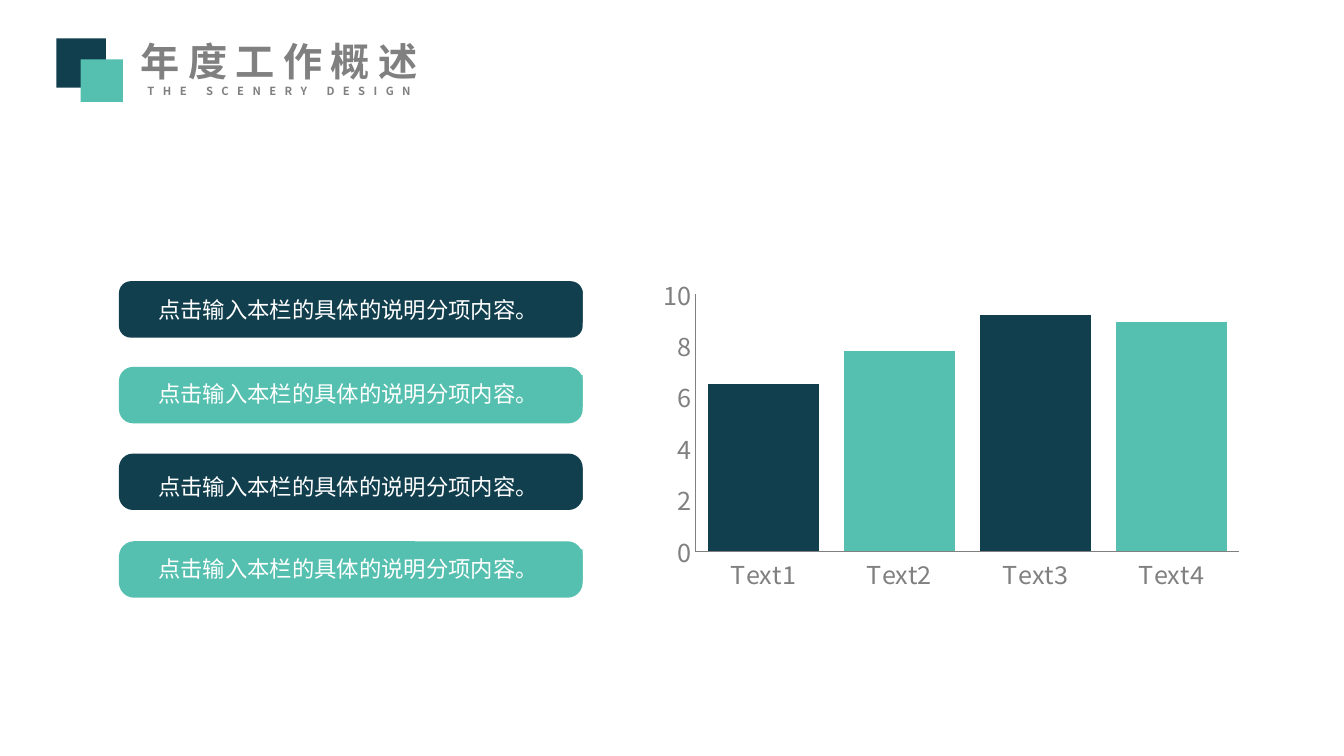
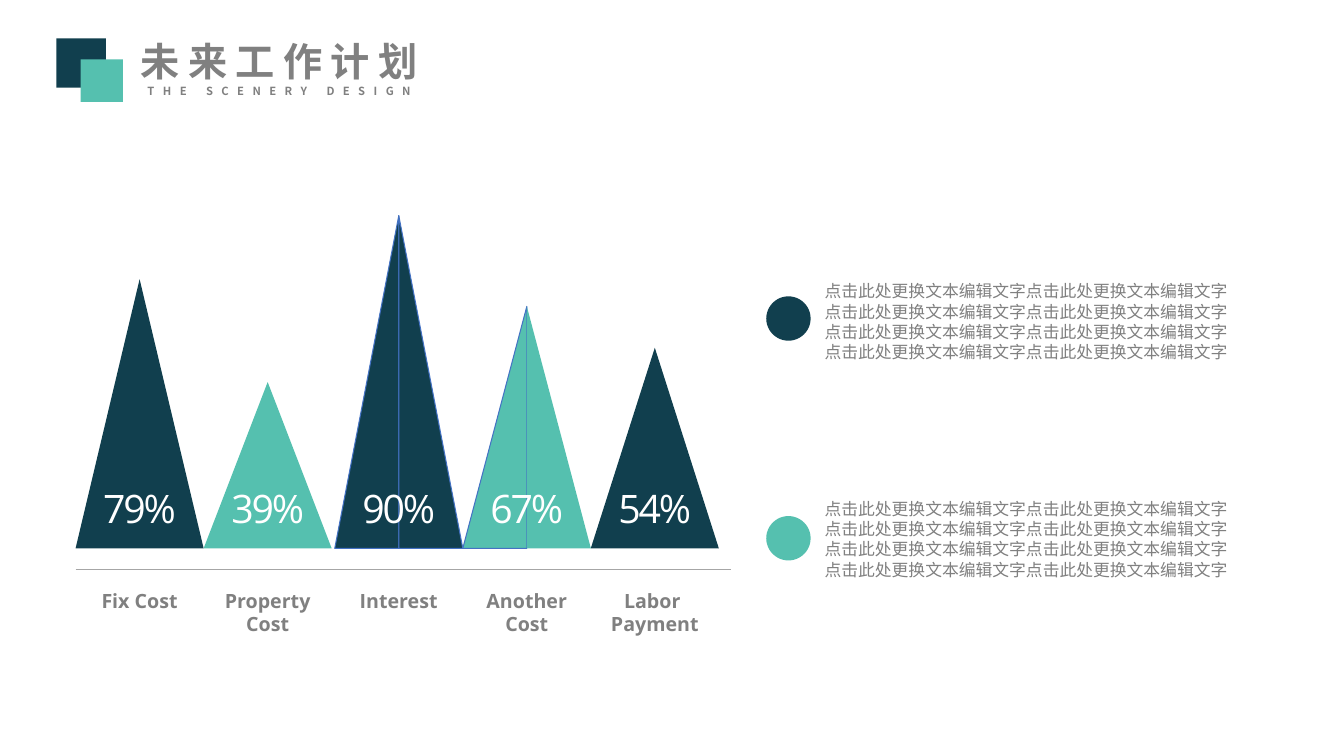
from dataclasses import dataclass

from lxml.etree import SubElement
from pptx import Presentation
from pptx.chart.data import CategoryChartData
from pptx.dml.color import RGBColor
from pptx.enum.chart import XL_CHART_TYPE, XL_TICK_MARK
from pptx.enum.shapes import MSO_CONNECTOR, MSO_SHAPE
from pptx.enum.text import MSO_AUTO_SIZE, MSO_ANCHOR, PP_ALIGN
from pptx.oxml import parse_xml
from pptx.oxml.ns import nsdecls, qn
from pptx.util import Inches, Pt

NAVY, TEAL, GRAY, WHITE = "113F4E", "55C0AF", "808080", "FFFFFF"
RULE, OUTLINE = "A6A6A6", "4472C4"
CJK, LATIN = "Noto Sans CJK SC", "Open Sans"


@dataclass(frozen=True)
class Style:
    size: float
    font: str = CJK
    color: str = GRAY
    bold: bool = False
    spacing: float = 0


@dataclass(frozen=True)
class Bar:
    top: float
    text_top: float
    corner: float
    color: str


@dataclass(frozen=True)
class Peak:
    left: float
    top: float
    value: str
    label: str
    color: str
    outlined: tuple[bool, bool] = (False, False)


@dataclass(frozen=True)
class Note:
    text_top: float
    dot_top: float
    color: str


TITLE = Style(28, bold=True, spacing=6)
SUBTITLE = Style(8, bold=True, spacing=6)
BAR_TEXT = Style(16, color=WHITE)
NOTE_TEXT = Style(12)
PEAK_LABEL = Style(14, LATIN, bold=True)
PEAK_VALUE = Style(28, LATIN, WHITE, spacing=-1.5)

BARS = [
    Bar(2.79, 2.88, 0.21, NAVY),
    Bar(3.64, 3.72, 0.25, TEAL),
    Bar(4.5, 4.64, 0.25, NAVY),
    Bar(5.37, 5.45, 0.27, TEAL),
]
PEAKS = [
    Peak(0.75, 2.77, "79%", "Fix Cost", NAVY),
    Peak(2.02, 3.79, "39%", "Property\nCost", TEAL),
    Peak(3.32, 2.14, "90%", "Interest", NAVY, (True, True)),
    Peak(4.59, 3.04, "67%", "Another\nCost", TEAL, (True, False)),
    Peak(5.86, 3.45, "54%", "Labor \nPayment", NAVY),
]
PEAK_WIDTH, PEAK_BASE = 1.27, 5.44
NOTES = [Note(2.74, 2.94, NAVY), Note(4.9, 5.12, TEAL)]


def rgb(color: str) -> RGBColor:
    return RGBColor.from_string(color)


def paint(sp, color: str, line: str | None = None) -> None:
    sp.shadow.inherit = False
    sp.fill.solid()
    sp.fill.fore_color.rgb = rgb(color)
    if line:
        sp.line.color.rgb = rgb(line)
        sp.line.width = Pt(0.75)
    else:
        sp.line.fill.background()


def add_box(s, kind, left: float, top: float, width: float, height: float, color: str):
    sp = s.shapes.add_shape(kind, Inches(left), Inches(top), Inches(width), Inches(height))
    paint(sp, color)
    return sp


def write(tf, lines: list[tuple[str, Style]], align=PP_ALIGN.LEFT, margins=(0.1, 0.05),
          wrap: bool = True, line_spacing: float | None = None) -> None:
    """Fill a frame with one styled paragraph per line."""
    tf.word_wrap = wrap
    tf.auto_size = MSO_AUTO_SIZE.SHAPE_TO_FIT_TEXT
    tf.vertical_anchor = MSO_ANCHOR.TOP
    tf.margin_left = tf.margin_right = Inches(margins[0])
    tf.margin_top = tf.margin_bottom = Inches(margins[1])
    for i, (text, style) in enumerate(lines):
        p = tf.paragraphs[0] if i == 0 else tf.add_paragraph()
        p.alignment = align
        if line_spacing:
            p.line_spacing = line_spacing
        r = p.add_run()
        r.text = text
        r.font.size = Pt(style.size)
        r.font.bold = style.bold
        r.font.color.rgb = rgb(style.color)
        r.font.name = style.font
        rPr = r._r.get_or_add_rPr()
        SubElement(rPr, qn("a:ea")).set("typeface", style.font)
        if style.spacing:
            rPr.set("spc", str(int(style.spacing * 100)))


def add_text(s, left: float, top: float, width: float, height: float,
             lines: list[tuple[str, Style]], **options) -> None:
    sp = s.shapes.add_textbox(Inches(left), Inches(top), Inches(width), Inches(height))
    write(sp.text_frame, lines, **options)


def add_titled_slide(prs, title: str):
    s = prs.slides.add_slide(prs.slide_layouts[6])
    add_text(s, 1.24, 0.32, 3.06, 0.71, [(title, TITLE), ("THE SCENERY DESIGN", SUBTITLE)],
             align=PP_ALIGN.CENTER, wrap=False)
    add_box(s, MSO_SHAPE.RECTANGLE, 0.56, 0.38, 0.49, 0.49, NAVY)
    add_box(s, MSO_SHAPE.RECTANGLE, 0.8, 0.59, 0.42, 0.42, TEAL)
    return s


def set_plot_area(chart, x: float, y: float, w: float, h: float) -> None:
    """Place the inner plot area, in fractions of the chart."""
    plot_area = chart._chartSpace.chart.plotArea
    for old in plot_area.findall(qn("c:layout")):
        plot_area.remove(old)
    places = "".join(f'<c:{tag} val="{val}"/>' for tag, val in
                     (("xMode", "edge"), ("yMode", "edge"), ("x", x), ("y", y), ("w", w), ("h", h)))
    plot_area.insert(0, parse_xml(
        f'<c:layout {nsdecls("c")}><c:manualLayout><c:layoutTarget val="inner"/>'
        f'{places}</c:manualLayout></c:layout>'))


def add_column_chart(s) -> None:
    data = CategoryChartData()
    data.categories = [f"Text{i}" for i in range(1, 5)]
    data.add_series("Series 1", (6.5, 7.8, 9.2, 8.9))
    chart = s.shapes.add_chart(XL_CHART_TYPE.COLUMN_CLUSTERED, Inches(6.51), Inches(2.74),
                               Inches(5.79), Inches(3.44), data).chart
    chart.has_legend = chart.has_title = False
    chart.font.name = CJK
    chart.font.size = Pt(18)
    chart.font.color.rgb = rgb(GRAY)
    set_plot_area(chart, 0.067, 0.033, 0.932, 0.757)
    for axis in (chart.category_axis, chart.value_axis):
        axis.has_major_gridlines = False
        axis.major_tick_mark = axis.minor_tick_mark = XL_TICK_MARK.NONE
        axis.format.line.color.rgb = rgb(GRAY)
    chart.value_axis.minimum_scale = 0
    chart.value_axis.maximum_scale = 10
    chart.value_axis.major_unit = 2
    plot = chart.plots[0]
    plot.gap_width, plot.overlap, plot.vary_by_categories = 22, -3, False
    series = plot.series[0]
    series.format.fill.solid()
    series.format.fill.fore_color.rgb = rgb(TEAL)
    for i in (0, 2):
        fill = series.points[i].format.fill
        fill.solid()
        fill.fore_color.rgb = rgb(NAVY)


def add_bar(s, bar: Bar) -> None:
    sp = add_box(s, MSO_SHAPE.ROUNDED_RECTANGLE, 1.18, bar.top, 4.6, 0.56, bar.color)
    sp.adjustments[0] = bar.corner
    sp = add_box(s, MSO_SHAPE.RECTANGLE, 1.57, bar.text_top, 4.21, 0.32, bar.color)
    write(sp.text_frame, [("点击输入本栏的具体的说明分项内容。", BAR_TEXT)],
          align=PP_ALIGN.JUSTIFY, margins=(0, 0), line_spacing=1.2)


def add_triangle(s, peak: Peak, left: float, right: float, outlined: bool) -> None:
    """Join the tip of a peak to two points on its base."""
    tip = (Inches(peak.left + PEAK_WIDTH / 2), Inches(peak.top))
    builder = s.shapes.build_freeform(Inches(left), Inches(PEAK_BASE))
    builder.add_line_segments([tip, (Inches(right), Inches(PEAK_BASE))], close=True)
    paint(builder.convert_to_shape(), peak.color, OUTLINE if outlined else None)


def add_peak(s, peak: Peak) -> None:
    """Draw a peak, in halves where it has an outline, with its value and label."""
    middle, right = peak.left + PEAK_WIDTH / 2, peak.left + PEAK_WIDTH
    if any(peak.outlined):
        add_triangle(s, peak, peak.left, middle, peak.outlined[0])
        add_triangle(s, peak, middle, right, peak.outlined[1])
    else:
        add_triangle(s, peak, peak.left, right, False)
    add_text(s, peak.left, 4.77, PEAK_WIDTH, 0.55, [(peak.value, PEAK_VALUE)],
             align=PP_ALIGN.CENTER, margins=(0.05, 0.03))
    lines = [(line, PEAK_LABEL) for line in peak.label.split("\n")]
    add_text(s, peak.left, 5.81, PEAK_WIDTH, 0.05 + 0.25 * len(lines), lines,
             align=PP_ALIGN.CENTER, margins=(0.05, 0.03))


def add_note(s, note: Note) -> None:
    add_text(s, 8.08, note.text_top, 4.63, 1.31, [("点击此处更换文本编辑文字" * 2, NOTE_TEXT)] * 4)
    add_box(s, MSO_SHAPE.OVAL, 7.6, note.dot_top, 0.44, 0.44, note.color)


def add_baseline(s) -> None:
    line = s.shapes.add_connector(MSO_CONNECTOR.STRAIGHT, Inches(0.75), Inches(5.65),
                                  Inches(7.25), Inches(5.65))
    line.line.color.rgb = rgb(RULE)
    line.line.width = Pt(0.75)
    SubElement(line._element.spPr, qn("a:effectLst"))


def main() -> None:
    prs = Presentation()
    prs.slide_width, prs.slide_height = Inches(13.33), Inches(7.5)

    s = add_titled_slide(prs, "年度工作概述")
    add_column_chart(s)
    for bar in BARS:
        add_bar(s, bar)

    s = add_titled_slide(prs, "未来工作计划")
    for note in NOTES:
        add_note(s, note)
    for peak in PEAKS:
        add_peak(s, peak)
    add_baseline(s)

    prs.save("out.pptx")


if __name__ == "__main__":
    main()
